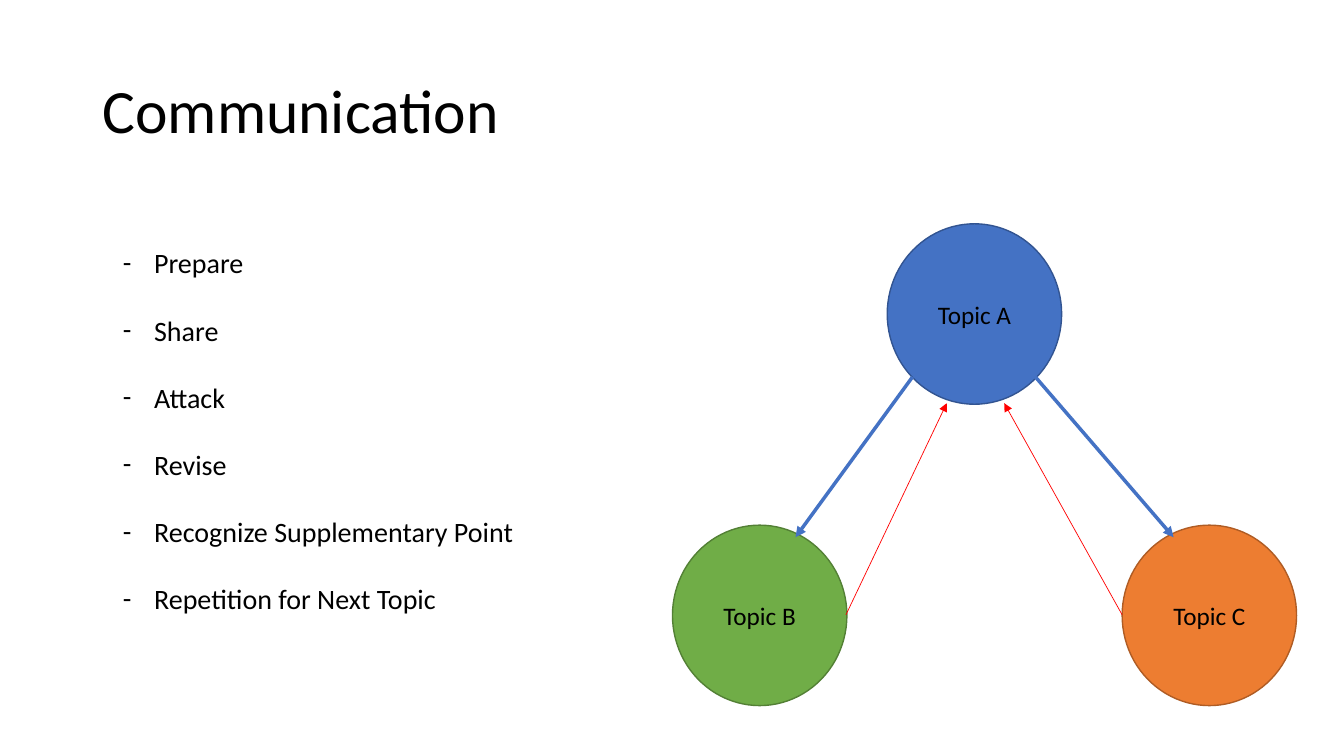
"""Build the Communication slide: a list of steps beside three linked topics."""
from lxml.etree import SubElement
from pptx import Presentation
from pptx.dml.color import RGBColor
from pptx.enum.shapes import MSO_CONNECTOR, MSO_SHAPE
from pptx.enum.text import MSO_ANCHOR, PP_ALIGN
from pptx.oxml.ns import qn
from pptx.util import Inches, Pt

COLORS = {
    "text": "000000",
    "blue": "4472C4", "blue edge": "325491",
    "green": "70AD47", "green edge": "538035",
    "orange": "ED7D31", "orange edge": "AF5C24",
    "red": "FF0000",
}


def color(name):
    return RGBColor.from_string(COLORS[name])


def style(paragraph, size):
    paragraph.font.name = "Calibri"
    paragraph.font.size = Pt(size)
    paragraph.font.color.rgb = color("text")


presentation = Presentation()
presentation.slide_width = Inches(13.33)
presentation.slide_height = Inches(7.5)
slide = presentation.slides.add_slide(presentation.slide_layouts[6])
shapes = slide.shapes

title = shapes.add_textbox(Inches(0.92), Inches(0.4), Inches(11.5), Inches(1.45)).text_frame
title.word_wrap = True
title.vertical_anchor = MSO_ANCHOR.MIDDLE
title.text = "Communication"
title.paragraphs[0].line_spacing = 0.9
style(title.paragraphs[0], 44)

topics = [
    ("Topic A", 8.8, 2.22, "blue"),
    ("Topic B", 6.67, 5.21, "green"),
    ("Topic C", 11.13, 5.21, "orange"),
]
for name, left, top, fill in topics:
    topic = shapes.add_shape(
        MSO_SHAPE.OVAL, Inches(left), Inches(top), Inches(1.73), Inches(1.79))
    topic.shadow.inherit = False
    topic.fill.solid()
    topic.fill.fore_color.rgb = color(fill)
    topic.line.color.rgb = color(f"{fill} edge")
    topic.line.width = Pt(1)
    label = topic.text_frame
    label.vertical_anchor = MSO_ANCHOR.MIDDLE
    label.text = name
    label.paragraphs[0].alignment = PP_ALIGN.CENTER
    style(label.paragraphs[0], 18)

steps = [
    "Prepare", "Share", "Attack", "Revise",
    "Recognize Supplementary Point", "Repetition for Next Topic",
]
step_list = shapes.add_textbox(Inches(1.12), Inches(2.39), Inches(4.43), Inches(3.8)).text_frame
step_list.word_wrap = True
step_list.text = "\n".join(steps)
for index, step in enumerate(step_list.paragraphs):
    style(step, 20)
    step.space_before = Pt(24 if index else 0)
    properties = step._p.get_or_add_pPr()
    properties.set("marL", str(Inches(0.31)))
    properties.set("indent", str(-Inches(0.31)))
    SubElement(properties, qn("a:buFont"), typeface="Calibri")
    SubElement(properties, qn("a:buChar"), char="-")

arrows = [
    (9.05, 3.74, 7.89, 5.33, "blue", 2.5),
    (10.27, 3.74, 11.64, 5.33, "blue", 2.5),
    (8.39, 6.1, 9.39, 4, "red", 0.5),
    (11.13, 6.1, 9.96, 4, "red", 0.5),
]
for *ends, stroke, width in arrows:
    arrow = shapes.add_connector(MSO_CONNECTOR.STRAIGHT, *map(Inches, ends))
    arrow.line.color.rgb = color(stroke)
    arrow.line.width = Pt(width)
    SubElement(arrow.line._get_or_add_ln(), qn("a:tailEnd"), type="triangle")
    SubElement(arrow._element.spPr, qn("a:effectLst"))

presentation.save("out.pptx")
